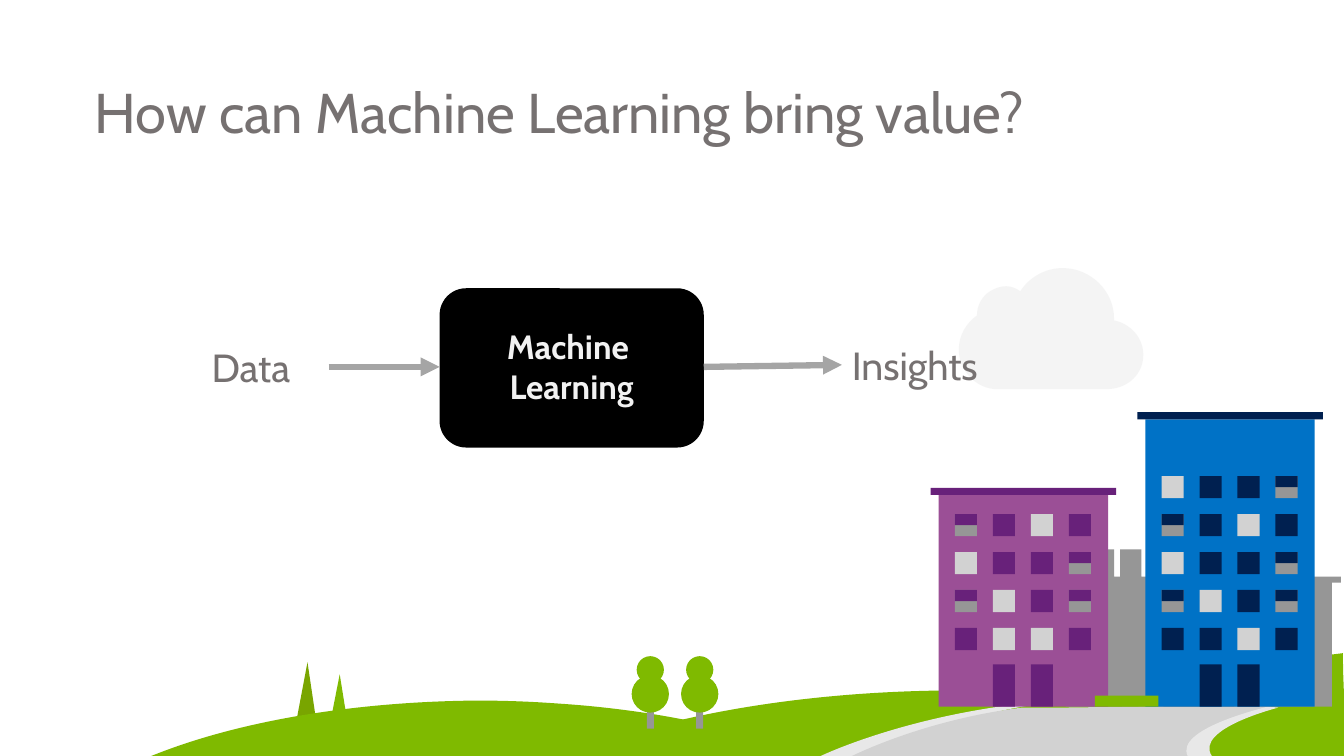
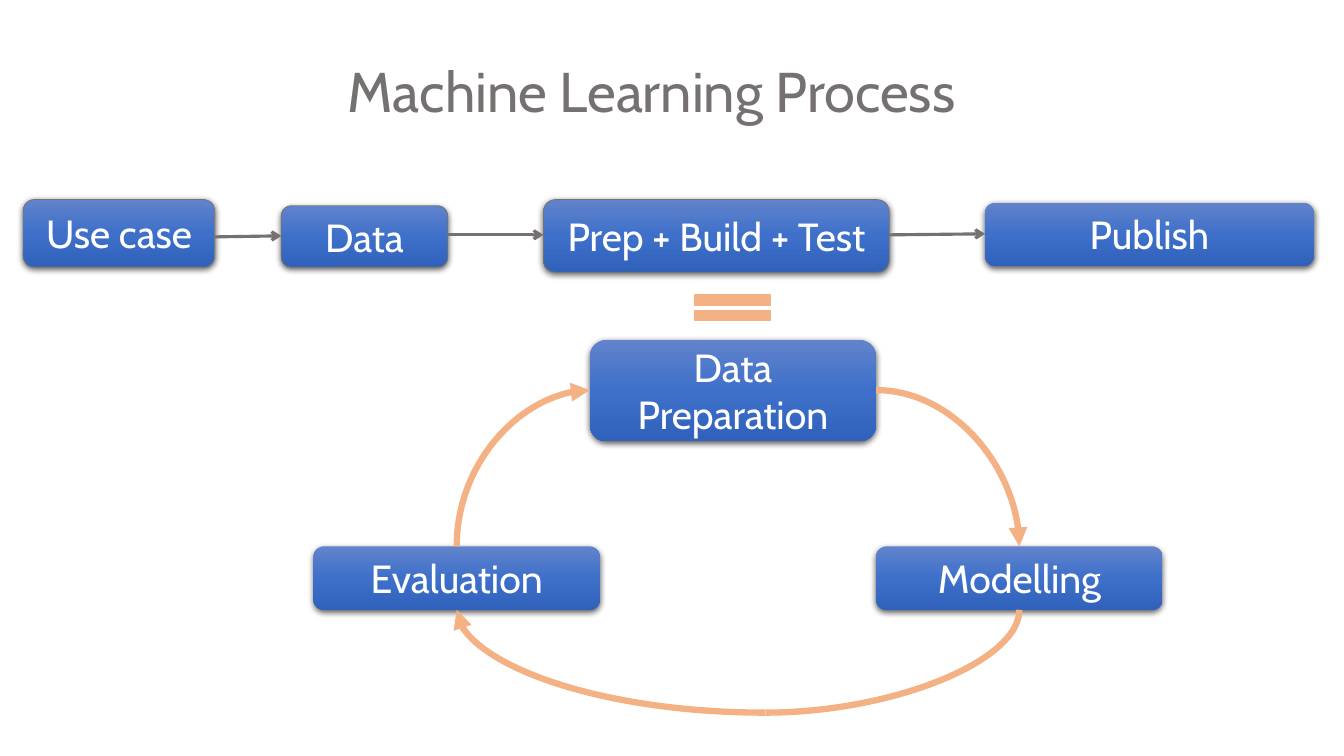
from pptx import Presentation
from pptx.dml.color import RGBColor
from pptx.enum import shapes, text
from pptx.oxml import parse_xml
from pptx.oxml.ns import qn
from pptx.util import Inches, Pt
from lxml import etree

FONT = "Cabin"
GREY = RGBColor(0x76, 0x71, 0x71)
ARROW_GREY = RGBColor(0xA5, 0xA5, 0xA5)
STONE = RGBColor(0x96, 0x96, 0x96)
LIGHT = RGBColor(0xD2, 0xD2, 0xD2)
KERB = RGBColor(0xE8, 0xE8, 0xE8)
PALE = RGBColor(0xF2, 0xF2, 0xF2)
GREEN = RGBColor(0x7F, 0xBA, 0x00)
PINE = RGBColor(0x79, 0xA5, 0x00)
PURPLE = RGBColor(0x9B, 0x4F, 0x96)
DARK_PURPLE = RGBColor(0x68, 0x21, 0x7A)
BLUE = RGBColor(0x00, 0x72, 0xC6)
NAVY = RGBColor(0x00, 0x20, 0x50)
ORANGE = RGBColor(0xF4, 0xB1, 0x83)
BLACK = RGBColor(0, 0, 0)
WHITE = RGBColor(0xFF, 0xFF, 0xFF)
CARD_STOPS = [(0, "6183CB"), (50, "3E70CA"), (100, "3062BB")]
NS = 'xmlns:a="http://schemas.openxmlformats.org/drawingml/2006/main"'

RECT = shapes.MSO_SHAPE.RECTANGLE
OVAL = shapes.MSO_SHAPE.OVAL
ROUNDED = shapes.MSO_SHAPE.ROUNDED_RECTANGLE
EQUAL = shapes.MSO_SHAPE.MATH_EQUAL
LEFT = text.PP_ALIGN.LEFT
CENTER = text.PP_ALIGN.CENTER

GROUND = [
    (PINE, [(3.05, 6.57), (2.91, 7.31), (3.16, 7.31)]),
    (GREEN, [(5.03, 7.5), (5.61, 7.26, 6.37, 7.15, 7.13, 7.14),
             (7.3, 7.14, 7.48, 7.15, 7.66, 7.16), (8.25, 7.2, 8.83, 7.31, 9.29, 7.5)]),
    (GREEN, [(1.5, 7.5), (2.39, 7.14, 3.56, 6.96, 4.73, 6.95),
             (5, 6.95, 5.27, 6.96, 5.54, 6.98), (6.46, 7.04, 7.34, 7.22, 8.05, 7.5)]),
    (GREEN, [(5.6, 7.5), (6.66, 7.07, 8.04, 6.86, 9.42, 6.85),
             (9.7, 6.85, 10, 6.86, 10.29, 6.88), (10.32, 6.88, 13.29, 6.48, 13.32, 6.48),
             (13.32, 6.85, 13.34, 6.76, 13.33, 7.5)]),
    (KERB, [(10.48, 6.96), (10.44, 6.95), (9.05, 7.06, 8.14, 7.5, 8.14, 7.5), (8.58, 7.5),
            (8.58, 7.5, 9.44, 7.08, 10.48, 6.96)]),
    (LIGHT, [(12.67, 7.01), (12.22, 6.98, 10.6, 7.03, 10.14, 7.02),
             (9.16, 7.14, 8.45, 7.5, 8.45, 7.5), (11.79, 7.5),
             (11.64, 7.24, 12.62, 7.03, 12.67, 7.01)]),
    (KERB, [(12.68, 7.02), (12.57, 7.01), (12.52, 7.03, 11.65, 7.23, 11.78, 7.5), (12.02, 7.5),
            (11.84, 7.23, 12.68, 7.02, 12.68, 7.02)]),
]
CLOUD = [(11.05, 3.18), (11.05, 3.16), (11.05, 2.89, 10.82, 2.66, 10.54, 2.66),
         (10.37, 2.66, 10.21, 2.75, 10.12, 2.89), (10.08, 2.86, 10.03, 2.84, 9.98, 2.84),
         (9.92, 2.84, 9.87, 2.86, 9.82, 2.89), (9.74, 2.94, 9.69, 3.03, 9.69, 3.13),
         (9.58, 3.21, 9.51, 3.33, 9.51, 3.47), (9.51, 3.66, 9.66, 3.84, 9.86, 3.86),
         (11, 3.86), (11.19, 3.85, 11.34, 3.71, 11.34, 3.52),
         (11.34, 3.35, 11.21, 3.21, 11.05, 3.18)]
FACTORY = [(0.83, 0.27), (0.83, 0), (0.62, 0), (0.62, 0.27), (0.56, 0.27), (0.56, 0),
           (0.36, 0), (0.36, 0.27), (0, 0.27), (0, 0.33), (0.08, 0.33), (0.08, 1.56),
           (1.75, 1.56), (1.75, 0.33), (1.84, 0.33), (1.84, 0.27)]
FACTORY_LEFTS = [10.49, 11.46]
FACTORY_TOP = 5.45
SMALL_PINE = [(3.37, 6.69), (3.26, 7.25), (3.46, 7.25)]
TREE_CENTRES = [6.45, 6.94]
TREE_PARTS = [(RECT, 6.95, 0.07, 0.28, STONE), (OVAL, 6.7, 0.37, 0.37, GREEN),
              (OVAL, 6.51, 0.27, 0.27, GREEN)]
BUILDINGS = [
    (9.31, 4.91, PURPLE, DARK_PURPLE, ["HDLD", "LDDH", "HLDH", "DLLD"]),
    (11.36, 4.16, BLUE, NAVY, ["LDDH", "HDLD", "LDDH", "HLDH", "DDLD"]),
]
WINDOW, WINDOW_STEP, LAST_ROW, STREET = 0.22, 1.13 / 3, 6.23, 7.01

VALUE_TEXTS = [
    (["Machine ", "Learning"], 4.65, 3.18, 2.04, 0.91, 24, PALE, True, CENTER),
    (["Data"], 2, 3.36, 1.27, 0.57, 28, GREY, False, LEFT),
    (["Insights"], 8.35, 3.34, 1.61, 0.57, 28, GREY, False, LEFT),
]
VALUE_ARROWS = [((3.26, 3.64), (4.36, 3.64)), ((6.98, 3.64), (8.35, 3.62))]

CARDS = [
    ("Data Preparation", 5.85, 3.37, 2.84, 1.01, False),
    ("Modelling", 8.69, 5.42, 2.84, 0.63, False),
    ("Evaluation", 3.11, 5.42, 2.84, 0.63, False),
    ("Use case", 0.23, 1.98, 1.9, 0.67, True),
    ("Data", 2.79, 2.04, 1.65, 0.61, True),
    ("Prep + Build + Test", 5.39, 1.98, 3.43, 0.72, True),
    ("Publish", 9.77, 2.01, 3.26, 0.63, False),
]
STEP_ARROWS = [((2.13, 2.35), (2.79, 2.34)), ((4.44, 2.33), (5.39, 2.33)),
               ((8.82, 2.33), (9.77, 2.32))]
CYCLE_CURVES = [
    ((8.69, 3.87), (10.11, 5.42), "tailEnd"),
    ((7.59, 7.07), (10.11, 6.05), None),
    ((7.59, 7.07), (4.53, 6.05), "tailEnd"),
    ((5.85, 3.87), (4.53, 5.42), "headEnd"),
]


def add_run(p, words, size, color, bold=False):
    r = p.add_run()
    r.text = words
    f = r.font
    f.name, f.size, f.bold = FONT, Pt(size), bold
    f.color.rgb = color


def add_title(s, words, x, y, w):
    t = s.shapes.title
    t.left, t.top, t.width, t.height = map(Inches, (x, y, w, 0.77))
    tf = t.text_frame
    tf.word_wrap = True
    tf.auto_size = text.MSO_AUTO_SIZE.NONE
    tf.vertical_anchor = text.MSO_ANCHOR.TOP
    p = tf.paragraphs[0]
    p.alignment = LEFT
    add_run(p, words, 40, GREY)


def add_text(s, lines, x, y, w, h, size, color, bold, align):
    tf = s.shapes.add_textbox(*map(Inches, (x, y, w, h))).text_frame
    tf.word_wrap = True
    for i, words in enumerate(lines):
        p = tf.add_paragraph() if i else tf.paragraphs[0]
        p.alignment = align
        add_run(p, words, size, color, bold)


def paint(sp, color):
    sp.shadow.inherit = False
    sp.fill.solid()
    sp.fill.fore_color.rgb = color
    sp.line.fill.background()
    return sp


def add_block(s, kind, x, y, w, h, color):
    return paint(s.shapes.add_shape(kind, *map(Inches, (x, y, w, h))), color)


def add_outline(s, path, color):
    points = [(Inches(seg[-2]), Inches(seg[-1])) for seg in path]
    fb = s.shapes.build_freeform(*points[0], scale=1.0)
    fb.add_line_segments(points[1:], close=True)
    sp = fb.convert_to_shape()
    sides = list(sp._element.iter(qn("a:lnTo")))
    for seg, side in zip(path[1:], sides):
        if len(seg) == 6:
            side.tag = qn("a:cubicBezTo")
            for i in (0, 2):
                pt = etree.Element(qn("a:pt"), x=str(Inches(seg[i]) - sp.left),
                                   y=str(Inches(seg[i + 1]) - sp.top))
                side.insert(i // 2, pt)
    return paint(sp, color)


def add_line(s, start, end, color, width, arrow=None, head="tailEnd", curved=False):
    kind = shapes.MSO_CONNECTOR.CURVE if curved else shapes.MSO_CONNECTOR.STRAIGHT
    c = s.shapes.add_connector(kind, *map(Inches, start + end))
    c.line.color.rgb = color
    c.line.width = Pt(width)
    spPr = c._element.spPr
    if curved:
        spPr.find(qn("a:prstGeom")).set("prst", "curvedConnector2")
    if arrow and head:
        etree.SubElement(c.line._get_or_add_ln(), qn(f"a:{head}"), type=arrow)
    etree.SubElement(spPr, qn("a:effectLst"))


def add_building(s, x, y, wall, dark, rows):
    add_block(s, RECT, x, y, 1.68, STREET - y, wall)
    add_block(s, RECT, x - 0.08, y - 0.07, 1.84, 0.07, dark)
    colors = {"H": STONE, "L": LIGHT, "D": dark}
    lefts = [x + 0.16 + WINDOW_STEP * j for j in range(4)]
    for i, row in enumerate(rows):
        top = LAST_ROW - WINDOW_STEP * (len(rows) - 1 - i)
        for left, state in zip(lefts, row):
            add_block(s, RECT, left, top, WINDOW, WINDOW, colors[state])
            if state == "H":
                add_block(s, RECT, left, top, WINDOW, WINDOW / 2, dark)
    for left in lefts[1:3]:
        add_block(s, RECT, left, 6.59, WINDOW, STREET - 6.59, dark)


def add_scenery(s):
    for color, path in GROUND:
        add_outline(s, path, color)
    cloud = add_outline(s, CLOUD, PALE)
    etree.SubElement(cloud._element.spPr.find(".//" + qn("a:srgbClr")), qn("a:alpha"), val="80000")
    for centre in TREE_CENTRES:
        for kind, y, w, h, color in TREE_PARTS:
            add_block(s, kind, centre - w / 2, y, w, h, color)
    for left in FACTORY_LEFTS:
        add_outline(s, [(left + x, FACTORY_TOP + y) for x, y in FACTORY], STONE)
    for building in BUILDINGS:
        add_building(s, *building)
    add_block(s, RECT, 10.86, 6.9, 0.63, 0.11, GREEN)
    add_outline(s, SMALL_PINE, GREEN)


def add_card(s, words, x, y, w, h, outlined):
    sp = s.shapes.add_shape(ROUNDED, *map(Inches, (x, y, w, h)))
    spPr = sp._element.spPr
    stops = "".join(f'<a:gs pos="{pos * 1000}"><a:srgbClr val="{c}"/></a:gs>' for pos, c in CARD_STOPS)
    spPr.append(parse_xml(f'<a:gradFill {NS} rotWithShape="1"><a:gsLst>{stops}</a:gsLst>'
                          '<a:lin ang="5400000" scaled="0"/></a:gradFill>'))
    if outlined:
        sp.line.color.rgb = GREY
        sp.line.width = Pt(0.5)
    else:
        sp.line.fill.background()
    spPr.append(parse_xml(
        f'<a:effectLst {NS}><a:outerShdw blurRad="{Pt(4.5)}" dist="{Pt(1.5)}" dir="5400000" '
        'algn="ctr" rotWithShape="0"><a:srgbClr val="000000"><a:alpha val="63000"/></a:srgbClr>'
        '</a:outerShdw></a:effectLst>'))
    tf = sp.text_frame
    tf.word_wrap = True
    tf.vertical_anchor = text.MSO_ANCHOR.MIDDLE
    p = tf.paragraphs[0]
    p.alignment = CENTER
    add_run(p, words, 28, WHITE)


def build_value(s):
    add_title(s, "How can Machine Learning bring value?", 0.84, 0.72, 10.43)
    add_scenery(s)
    add_block(s, ROUNDED, 4.36, 2.86, 2.62, 1.58, BLACK)
    for label in VALUE_TEXTS:
        add_text(s, *label)
    for start, end in VALUE_ARROWS:
        add_line(s, start, end, ARROW_GREY, 4.5, "triangle")


def build_process(s):
    add_title(s, "Machine Learning Process", 3.35, 0.51, 7.24)
    for card in CARDS:
        add_card(s, *card)
    for start, end in STEP_ARROWS:
        add_line(s, start, end, GREY, 2.25, "arrow")
    equal = add_block(s, EQUAL, 6.76, 2.84, 1.02, 0.43, ORANGE)
    equal.line.color.rgb = ORANGE
    equal.line.width = Pt(1)
    for start, end, head in CYCLE_CURVES:
        add_line(s, start, end, ORANGE, 4.5, "triangle", head, curved=True)


def main():
    prs = Presentation()
    prs.slide_width, prs.slide_height = Inches(13.33), Inches(7.5)
    for build in (build_value, build_process):
        build(prs.slides.add_slide(prs.slide_layouts[5]))
    prs.save("out.pptx")


if __name__ == "__main__":
    main()
